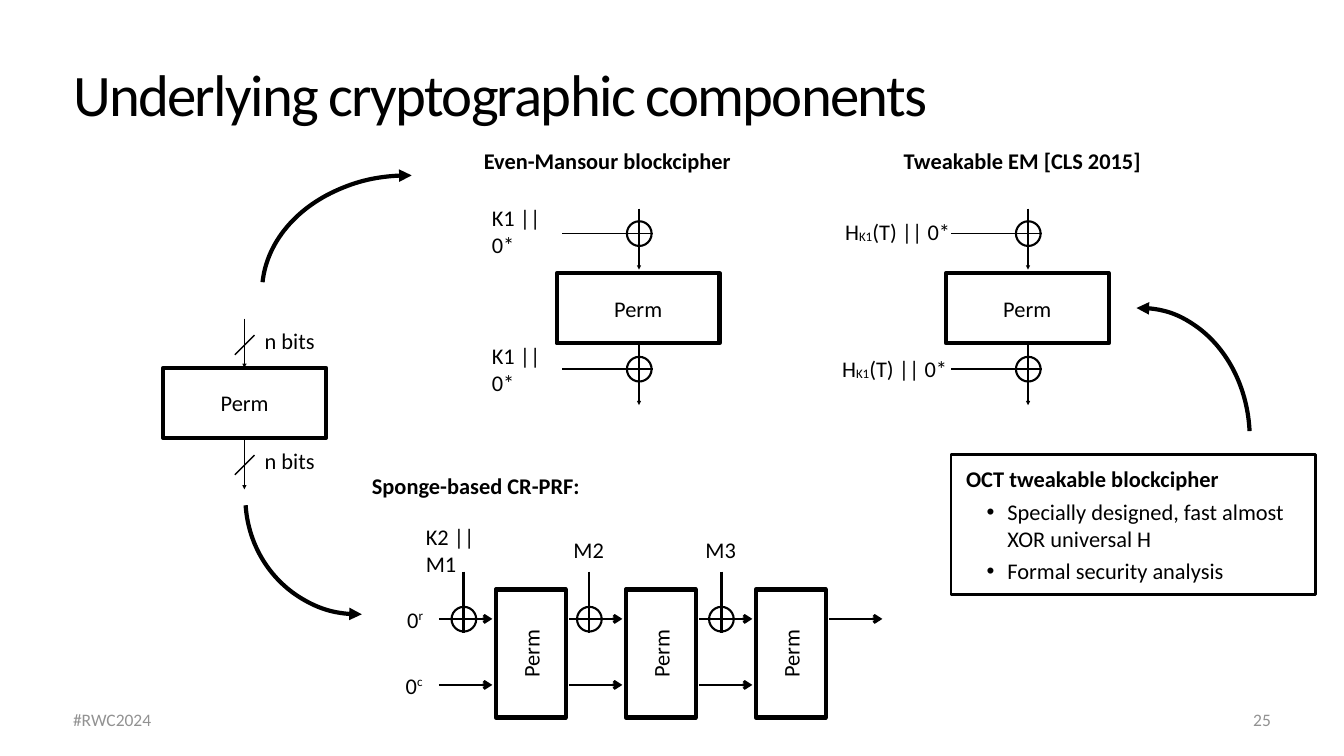
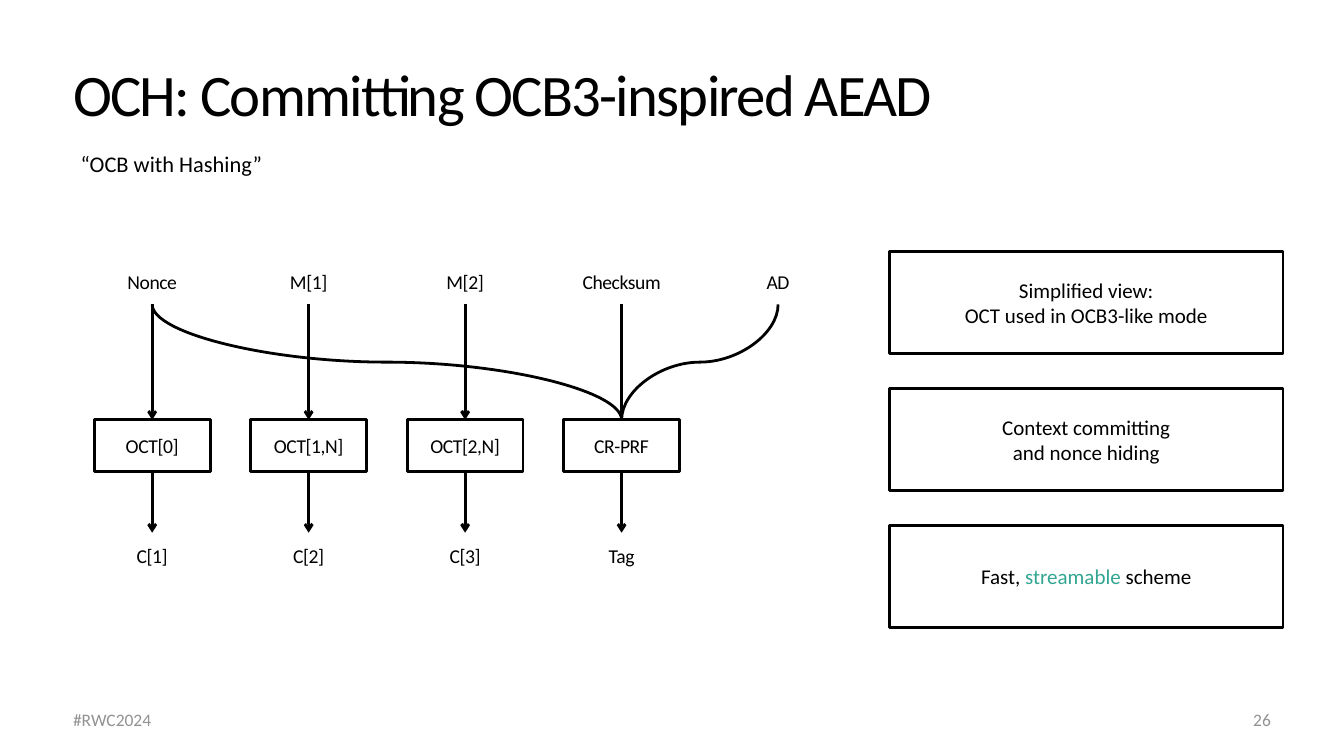
from lxml import etree
from pptx import Presentation
from pptx.dml.color import RGBColor
from pptx.enum.shapes import MSO_CONNECTOR as Conn, MSO_SHAPE as Shape
from pptx.enum.text import MSO_ANCHOR as Anchor, MSO_AUTO_SIZE as AutoSize, PP_ALIGN as Align
from pptx.oxml.ns import qn
from pptx.util import Inches, Pt

FONT = "Calibri"
BLACK, WHITE, GRAY, TEAL = "000000", "FFFFFF", "929292", "32A691"
BOLD = {"b": True}

# Shared by both slides
FOOTER = "#RWC2024"
FOOTER_AT = (1.39, 13.89, 10, 0.76)
NUMBER_AT = (15.28, 13.98, 10, 0.58)
TITLE_AT = (1.39, 0.89, 23.89, 1.7)

# Slide 25: a paragraph is a string or a list of (text, format) runs
HASHED_TWEAK = [("H", {}), ("K1", {"base": -6}), ("(T) || 0*", {})]
COMPONENT_LABELS = [
    ("n bits", (5.19, 6.42, 1.27, 0.69)),
    ("n bits", (5.19, 8.79, 1.27, 0.69)),
    ("K1 || 0*", (9.7, 4.24, 1.52, 0.69)),
    ("K1 || 0*", (9.7, 6.97, 1.52, 0.69)),
    (HASHED_TWEAK, (16.71, 4.24, 2.24, 0.69)),
    (HASHED_TWEAK, (16.65, 6.97, 2.24, 0.69)),
    ([("Even-Mansour blockcipher", BOLD)], (9.54, 2.85, 5.97, 0.69)),
    ([("Tweakable EM [CLS 2015]", BOLD)], (17.87, 2.85, 5.74, 0.69)),
    ([("Sponge-based CR-PRF:", BOLD)], (7.32, 9.28, 5.17, 0.69)),
    ([("0", {}), ("r", {"base": 32})], (8.02, 11.94, 0.54, 0.69)),
    ([("0", {}), ("c", {"base": 32})], (7.99, 13.25, 0.6, 0.69)),
    ("K2 || M1", (8.39, 10.56, 1.66, 0.69)),
    ("M2", (11.32, 10.56, 0.75, 0.69)),
    ("M3", (13.94, 10.56, 0.77, 0.69)),
]
OCT_NOTE = [
    [("OCT tweakable blockcipher", BOLD)],
    "Specially designed, fast almost XOR universal H",
    "Formal security analysis",
]
EM_WIRES = [12.68, 20.4]
SPONGE_INPUTS = [9.2, 11.69, 14.31]
ARCS = [  # place, flips
    ((5.2, 3.48, 5.81, 4.63), ("flipH",)),
    ((4.87, 7.56, 4.49, 4.63), ("flipH", "flipV")),
    ((20.45, 6.11, 4.35, 5.18), ()),
]

# Slide 26: input, block, output
OCH_COLUMNS = [
    ("Nonce", "OCT[0]", "C[1]"),
    ("M[1]", "OCT[1,N]", "C[2]"),
    ("M[2]", "OCT[2,N]", "C[3]"),
    ("Checksum", "CR-PRF", "Tag"),
    ("AD", None, None),
]
OCH_POINTS = [
    ["Simplified view:", "OCT used in OCB3-like mode"],
    ["Context committing", "and nonce hiding"],
    [[("Fast, ", {}), ("streamable", {"color": TEAL}), (" scheme", {})]],
]


def rgb(value):
    return RGBColor.from_string(value)


def box(at):
    return [Inches(v) for v in at]


def write(tf, paras, size, color=BLACK, align=Align.LEFT, anchor=Anchor.MIDDLE,
          before=0, spc=None, inset=(0.06, 0.06)):
    tf.word_wrap = True
    tf.auto_size = AutoSize.NONE
    tf.vertical_anchor = anchor
    tf.margin_left = tf.margin_right = Inches(inset[0])
    tf.margin_top = tf.margin_bottom = Inches(inset[1])
    for i, para in enumerate(paras):
        p = tf.add_paragraph() if i else tf.paragraphs[0]
        p.alignment = align
        p.space_before = Pt(before)
        for text, fmt in [(para, {})] if isinstance(para, str) else para:
            r = p.add_run()
            r.text = text
            r.font.name, r.font.size = FONT, Pt(size)
            r.font.bold = fmt.get("b", False)
            r.font.color.rgb = rgb(fmt.get("color", color))
            rpr = r.font._element
            if spc:
                rpr.set("spc", str(int(spc * 100)))
            if "base" in fmt:
                rpr.set("baseline", str(fmt["base"] * 1000))


def add_label(slide, paras, at, size=32, before=8, **style):
    sp = slide.shapes.add_textbox(*box(at))
    write(sp.text_frame, paras, size, before=before, **style)


def add_shape(slide, kind, at, line=None, fill=None):
    sp = slide.shapes.add_shape(kind, *box(at))
    sp.shadow.inherit = False
    if fill:
        sp.fill.solid()
        sp.fill.fore_color.rgb = rgb(fill)
    else:
        sp.fill.background()
    if line:
        sp.line.color.rgb = rgb(BLACK)
        sp.line.width = Pt(line)
    else:
        sp.line.fill.background()
    return sp


def add_box(slide, paras, at, line=None, size=32, spc=None):
    sp = add_shape(slide, Shape.RECTANGLE, at, line, WHITE)
    write(sp.text_frame, paras, size, align=Align.CENTER, spc=spc)
    return sp


def add_end(shape, end, kind):
    ln = shape._element.spPr.find(qn("a:ln"))
    etree.SubElement(ln, qn(f"a:{end}")).set("type", kind)


def add_line(slide, x1, y1, x2, y2, width, arrow=None, kind=Conn.STRAIGHT):
    c = slide.shapes.add_connector(kind, *box((x1, y1, x2, y2)))
    c.line.color.rgb = rgb(BLACK)
    c.line.width = Pt(width)
    if arrow:
        add_end(c, "tailEnd", arrow)
    etree.SubElement(c._element.spPr, qn("a:effectLst"))
    return c


def add_drop_curve(slide, x1, y1, x2, y2):
    """Draw an S-curve that leaves and arrives vertically: a turned curved connector."""
    cx, cy = (x1 + x2) / 2, (y1 + y2) / 2
    w, h = y2 - y1, abs(x2 - x1)
    c = add_line(slide, cx - w / 2, cy - h / 2, cx + w / 2, cy + h / 2, 4, kind=Conn.CURVE)
    xfrm = c._element.spPr.find(qn("a:xfrm"))
    xfrm.set("rot", str((270 if x2 > x1 else 90) * 60000))
    if x2 > x1:
        xfrm.set("flipH", "1")


def add_xor_ring(slide, x, y):
    add_shape(slide, Shape.OVAL, (x - 0.24, y - 0.24, 0.49, 0.49), 3)


def add_perm(slide, left, top, width=3.23):
    return add_box(slide, ["Perm"], (left, top, width, 1.39), 6)


def add_slide(prs, title, number):
    slide = prs.slides.add_slide(prs.slide_layouts[5])
    t = slide.shapes.title
    t.left, t.top, t.width, t.height = box(TITLE_AT)
    write(t.text_frame, [title], 84, anchor=Anchor.BOTTOM, spc=-2.5)
    t.text_frame.paragraphs[0].line_spacing = 0.8
    add_label(slide, [FOOTER], FOOTER_AT, 25, 0, color=GRAY)
    add_label(slide, [str(number)], NUMBER_AT, 25, 0, color=GRAY, align=Align.RIGHT)
    return slide


def draw_bare_perm(slide):
    x = 4.85
    add_perm(slide, 3.24, 7.3)
    for top, slash in ((6.32, 7.04), (8.73, 9.42)):
        add_line(slide, x, top, x, top + 0.98, 2, "triangle")
        add_line(slide, x - 0.19, slash, x + 0.2, slash - 0.39, 2)


def draw_even_mansour(slide, x):
    add_perm(slide, x - 1.63, 5.42)
    for top in (4.14, 6.83):
        y = top + 0.49
        add_line(slide, x, top, x, top + 1.21, 2, "triangle")
        add_line(slide, x - 1.52, y, x + 0.28, y, 2)
        add_xor_ring(slide, x, y)


def draw_sponge(slide):
    rate_y, capacity_y, pitch = 12.28, 13.59, 2.58
    for i in range(4):
        x = 8.71 + i * pitch
        for y in (rate_y, capacity_y) if i < 3 else (rate_y,):
            add_line(slide, x, y, x + 1.06, y, 4, "arrow")
    for i, x in enumerate(SPONGE_INPUTS):
        add_perm(slide, 9.26 + i * pitch, 12.27, 2.54).rotation = 270
        add_xor_ring(slide, x, rate_y)
        add_line(slide, x, 11.34, x, 12.55, 4)


def draw_oct_note(slide):
    sp = add_shape(slide, Shape.RECTANGLE, (18.87, 9.02, 7.23, 2.78), 4)
    write(sp.text_frame, OCT_NOTE, 32, before=8, inset=(0.3, 0.2))
    for p in sp.text_frame.paragraphs[1:]:
        ppr = p._p.get_or_add_pPr()
        ppr.set("marL", str(Inches(0.82)))
        ppr.set("indent", str(Inches(-0.41)))
        etree.SubElement(ppr, qn("a:buFont")).set("typeface", "Arial")
        etree.SubElement(ppr, qn("a:buChar")).set("char", "•")


def draw_arcs(slide):
    for at, flips in ARCS:
        sp = add_shape(slide, Shape.ARC, at, 6)
        sp.adjustments[0], sp.adjustments[1] = 161.04, 213.69
        add_end(sp, "headEnd", "triangle")
        for flip in flips:
            sp._element.spPr.find(qn("a:xfrm")).set(flip, "1")


def build_components(prs):
    slide = add_slide(prs, "Underlying cryptographic components", 25)
    draw_bare_perm(slide)
    for x in EM_WIRES:
        draw_even_mansour(slide, x)
    draw_oct_note(slide)
    draw_sponge(slide)
    for para, at in COMPONENT_LABELS:
        add_label(slide, [para], at)
    draw_arcs(slide)


def build_och(prs):
    slide = add_slide(prs, "OCH: Committing OCB3-inspired AEAD", 26)
    add_label(slide, ["“OCB with Hashing”"], (1.54, 2.92, 4.33, 0.65))
    width, input_bottom, block_top, block_bottom, output_top = 2.3, 6.04, 8.33, 9.37, 10.57
    lefts = [1.87 + 3.105 * i for i in range(len(OCH_COLUMNS))]
    centers = [left + width / 2 for left in lefts]

    for left, x, (source, block, output) in zip(lefts, centers, OCH_COLUMNS):
        add_box(slide, [source], (left, 5.12, width, 0.92), size=28, spc=-0.6)
        if block:
            add_box(slide, [block], (left, block_top, width, 1.03), 4, 28, -0.6)
            add_box(slide, [output], (left, output_top, width, 0.92), size=28, spc=-0.6)
            arrow = None if block == "CR-PRF" else "arrow"
            add_line(slide, x, input_bottom, x, block_top, 4, arrow)
            add_line(slide, x, block_bottom, x, output_top, 4, "arrow")

    nonce, checksum, ad = centers[0], centers[3], centers[4]
    for x in (nonce, ad):
        add_drop_curve(slide, x, input_bottom, checksum, block_top)
    for i, paras in enumerate(OCH_POINTS):
        add_box(slide, paras, (17.65, 4.99 + 2.72 * i, 7.81, 2.02), 4, 30)


def main():
    prs = Presentation()
    prs.slide_width, prs.slide_height = Inches(26.67), Inches(15)
    build_components(prs)
    build_och(prs)
    prs.save("out.pptx")


if __name__ == "__main__":
    main()
